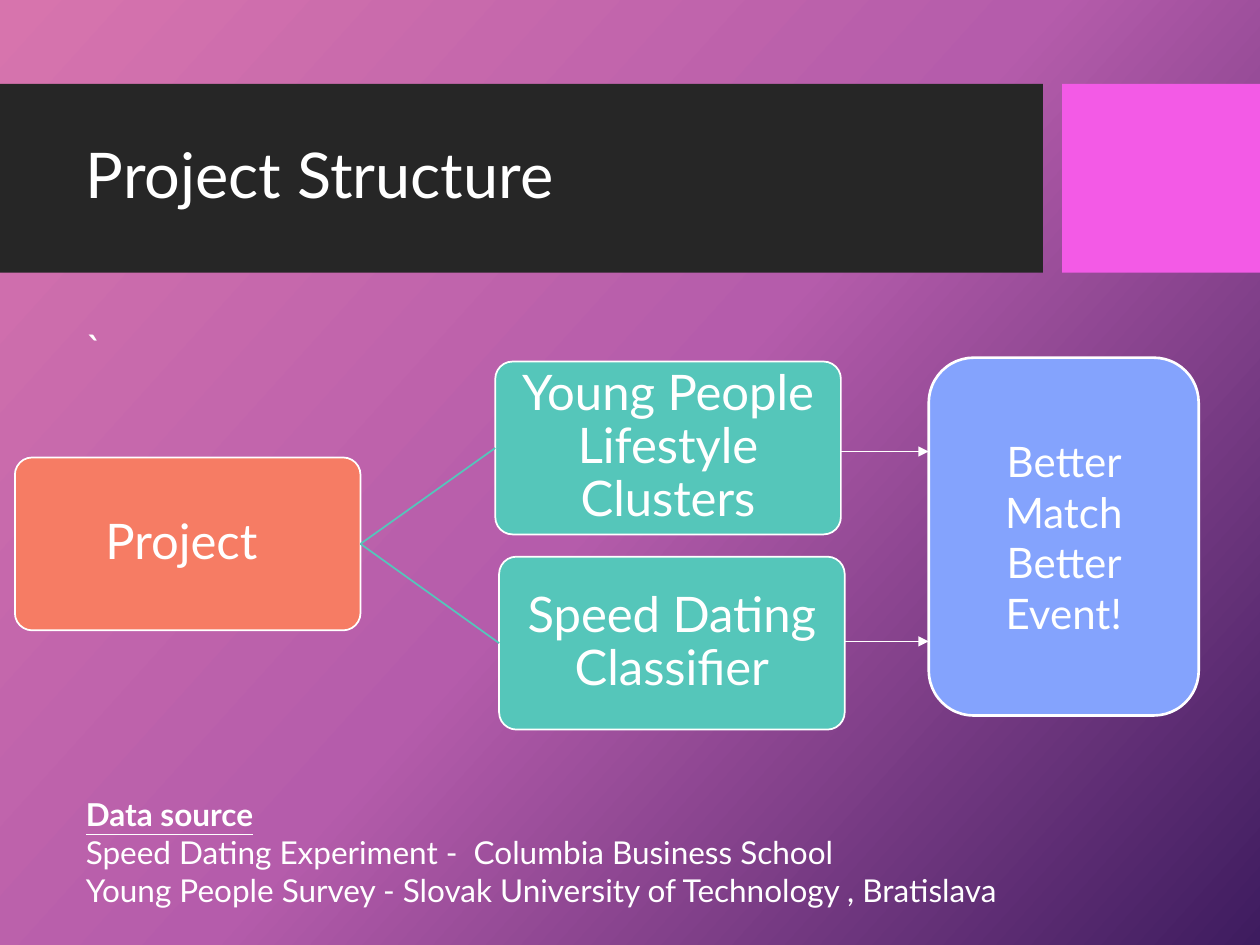
import pptx
import pptx.util
import pptx.dml.color
import pptx.enum.shapes
import pptx.enum.text
import pptx.oxml.ns
import copy
import lxml.etree

Pt = pptx.util.Pt
RGB = pptx.dml.color.RGBColor
Kind = pptx.enum.shapes.MSO_SHAPE
Line = pptx.enum.shapes.MSO_CONNECTOR
Align = pptx.enum.text.PP_ALIGN
Anchor = pptx.enum.text.MSO_ANCHOR
qn = pptx.oxml.ns.qn

WHITE = RGB(0xFF, 0xFF, 0xFF)
DARK = RGB(0x26, 0x26, 0x26)
PINK = RGB(0xF3, 0x5A, 0xE6)
CORAL = RGB(0xF6, 0x7C, 0x64)
TEAL = RGB(0x55, 0xC6, 0xBA)
BLUE = RGB(0x84, 0xA3, 0xFD)
STOPS = [(0, RGB(0xD7, 0x74, 0xAD)), (0.5, RGB(0xB5, 0x5C, 0xAB)),
         (1, RGB(0x3E, 0x1C, 0x5F))]
BASE = {"name": "Lato"}


def style(item, form):
    for key, value in form.items():
        setattr(item, key, value)


def write(shape, lines, size, pad=(7.2, 3.6), anchor=Anchor.TOP, para=None, head=None):
    frame = shape.text_frame
    side, edge = map(Pt, pad)
    style(frame, {"word_wrap": True, "vertical_anchor": anchor,
                  "margin_left": side, "margin_right": side,
                  "margin_top": edge, "margin_bottom": edge})
    frame.text = "\n".join(lines)
    for row, text in enumerate(frame.paragraphs):
        style(text, para or {})
        font = text.runs[0].font
        style(font, BASE | {"size": Pt(size)} | ((head or {}) if row == 0 else {}))
        font.color.rgb = WHITE


def label(slide, box, lines, size, **form):
    write(slide.shapes.add_textbox(*map(Pt, box)), lines, size, **form)


def block(slide, box, color, kind=Kind.RECTANGLE, edge=None):
    shape = slide.shapes.add_shape(kind, *map(Pt, box))
    shape.shadow.inherit = False
    shape.fill.solid()
    shape.fill.fore_color.rgb = color
    if edge:
        shape.line.color.rgb = WHITE
        shape.line.width = Pt(edge)
    else:
        shape.line.fill.background()
    return shape


def wire(slide, ends, color, width):
    link = slide.shapes.add_connector(Line.STRAIGHT, *map(Pt, ends))
    link.line.color.rgb = color
    link.line.width = Pt(width)
    lxml.etree.SubElement(link.element.spPr, qn("a:effectLst"))
    return link


def arrow(slide, start, end, y):
    link = wire(slide, (start, y, end, y), WHITE, 0.75)
    lxml.etree.SubElement(link.line._get_or_add_ln(), qn("a:tailEnd"), type="triangle")


def backdrop(slide):
    fill = slide.background.fill
    fill.gradient()
    fill.gradient_angle = 318
    group = slide.element.find(".//" + qn("a:gsLst"))
    group.append(copy.deepcopy(group[0]))
    for stop, (place, color) in zip(fill.gradient_stops, STOPS):
        stop.position = place
        stop.color.rgb = color


def banner(slide, box):
    x, y, w, h = box
    main = 596
    gap = 11
    block(slide, (x, y, main, h), DARK)
    block(slide, (x + main + gap, y, w - main - gap, h), PINK)
    label(slide, (x + 42, y + 11, 543, 85), ["Project Structure"], 36,
          anchor=Anchor.MIDDLE, para={"line_spacing": 0.9})


def card(slide, box, text, color):
    shape = block(slide, box, color, Kind.ROUNDED_RECTANGLE, 1)
    shape.adjustments[0] = 0.1
    write(shape, [text], 28, (1.4, 1.4), Anchor.MIDDLE,
          {"alignment": Align.CENTER, "line_spacing": 0.9})
    return shape


def diagram(slide, box):
    x, y, w, h = box
    wide, tall = 197.5, 98.8
    root = card(slide, (x, y + 57, wide, tall), "Project ", CORAL)
    parts = [("Young People Lifestyle Clusters", 274.5, 2.2, 53.6),
             ("Speed Dating Classifier", 276.7, 113.7, 162.1)]
    goal = x + w - 154.3
    for text, left, top, mid in parts:
        leaf = card(slide, (x + left, y + top, wide, tall), text, TEAL)
        link = wire(slide, (0, 0, 0, 0), TEAL, 1)
        link.begin_connect(root, 3)
        link.end_connect(leaf, 1)
        arrow(slide, x + left + wide, goal, y + mid)
    result = block(slide, (goal, y, 154.3, h), BLUE, Kind.ROUNDED_RECTANGLE, 1.5)
    write(result, ["Better Match Better Event!"], 24, (5, 2.5), Anchor.MIDDLE,
          {"alignment": Align.CENTER})


def sources(slide, box):
    label(slide, box, ["Data source",
                       "Speed Dating Experiment -  Columbia Business School",
                       "Young People Survey - Slovak University of Technology , Bratislava"],
          18, head={"bold": True, "underline": True})


def main():
    deck = pptx.Presentation()
    style(deck, {"slide_width": Pt(720), "slide_height": Pt(540)})
    slide = deck.slides.add_slide(deck.slide_layouts[6])
    backdrop(slide)
    banner(slide, (0, 48, 720, 107.8))
    label(slide, (42, 184.5, 542, 283.5), ["`"], 24, para={"line_spacing": 0.9})
    diagram(slide, (8.5, 204.4, 676.5, 204.5))
    sources(slide, (42, 450.7, 634.5, 72.7))
    deck.save("out.pptx")


if __name__ == "__main__":
    main()
